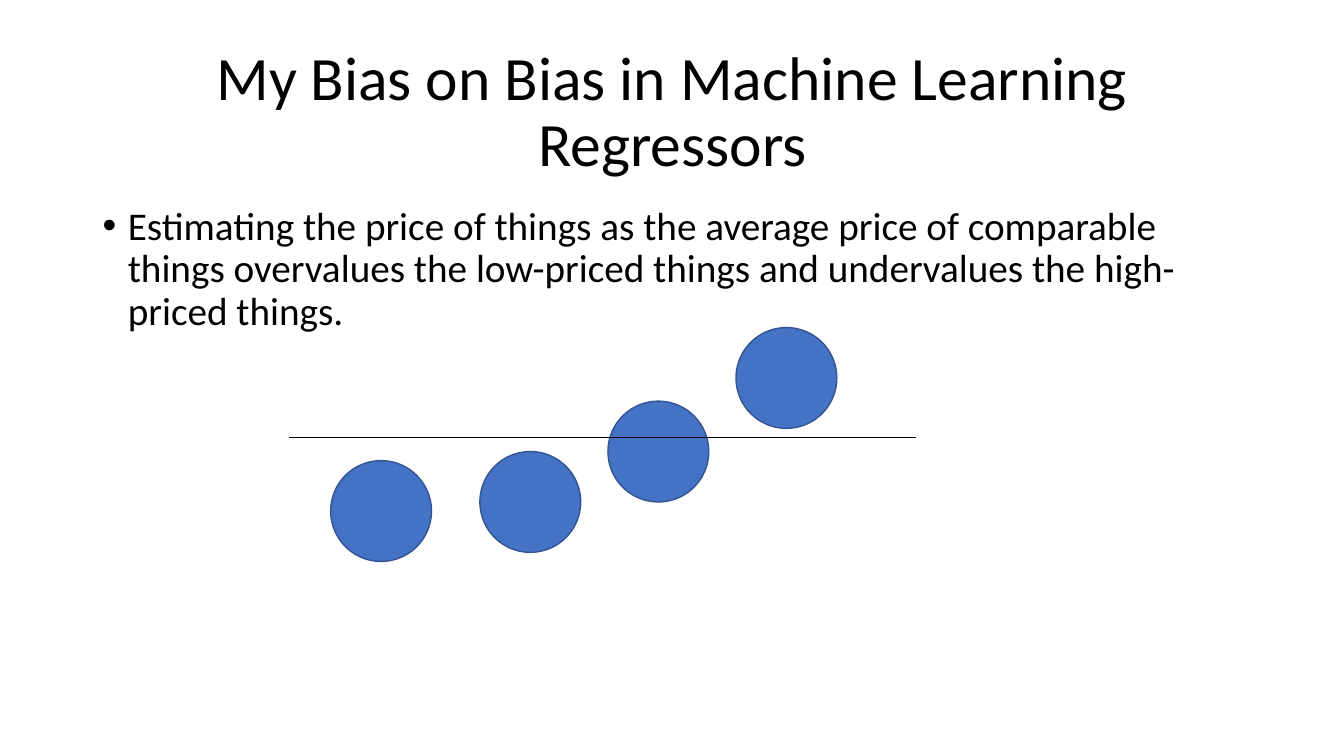
from lxml import etree
from pptx import Presentation
from pptx.dml.color import RGBColor
from pptx.enum.shapes import MSO_CONNECTOR, MSO_SHAPE
from pptx.enum.text import MSO_ANCHOR as Anchor, PP_ALIGN as Align
from pptx.oxml.ns import qn
from pptx.util import Inches, Pt

TITLE = "My Bias on Bias in Machine Learning Regressors"
STATEMENT = (
    "Estimating the price of things as the average price of comparable things "
    "overvalues the low-priced things and undervalues the high-priced things."
)
PRICE_POINTS = [(3.28, 4.57), (4.76, 4.48), (6.03, 3.98), (7.3, 3.25)]
DIAMETER = 1
AVERAGE_LINE = {"left": 2.87, "right": 9.09, "y": 4.34}
TEXT_LEFT, TEXT_WIDTH = 0.92, 11.5
FONT = "Calibri"
COLORS = {"text": "000000", "point": "4472C4", "outline": "325491", "average": "000000"}


def color(name):
    return RGBColor.from_string(COLORS[name])


def add_text(slide, text, top, height, size, anchor):
    box = slide.shapes.add_textbox(
        Inches(TEXT_LEFT), Inches(top), Inches(TEXT_WIDTH), Inches(height))
    frame = box.text_frame
    frame.word_wrap = True
    frame.vertical_anchor = anchor
    frame.text = text
    paragraph = frame.paragraphs[0]
    paragraph.line_spacing = 0.9
    font = paragraph.runs[0].font
    font.name, font.size = FONT, Pt(size)
    font.color.rgb = color("text")
    return paragraph


def add_bullet(paragraph, indent):
    properties = paragraph._p.get_or_add_pPr()
    properties.set("marL", str(Inches(indent)))
    properties.set("indent", str(-Inches(indent)))
    etree.SubElement(properties, qn("a:buFont"), typeface="Arial")
    etree.SubElement(properties, qn("a:buChar"), char="•")


def add_price_point(slide, left, top):
    circle = slide.shapes.add_shape(
        MSO_SHAPE.OVAL, Inches(left), Inches(top), Inches(DIAMETER), Inches(DIAMETER))
    circle.shadow.inherit = False
    circle.fill.solid()
    circle.fill.fore_color.rgb = color("point")
    circle.line.color.rgb = color("outline")
    circle.line.width = Pt(1)


def add_average_line(slide):
    y = Inches(AVERAGE_LINE["y"])
    line = slide.shapes.add_connector(
        MSO_CONNECTOR.STRAIGHT,
        Inches(AVERAGE_LINE["left"]), y, Inches(AVERAGE_LINE["right"]), y)
    line.line.color.rgb = color("average")
    line.line.width = Pt(1)
    etree.SubElement(line._element.spPr, qn("a:effectLst"))


def main():
    presentation = Presentation()
    presentation.slide_width, presentation.slide_height = Inches(13.33), Inches(7.5)
    slide = presentation.slides.add_slide(presentation.slide_layouts[6])

    title = add_text(slide, TITLE, 0.4, 1.45, 44, Anchor.MIDDLE)
    title.alignment = Align.CENTER
    statement = add_text(slide, STATEMENT, 2, 4.76, 28, Anchor.TOP)
    statement.space_before = Pt(10)
    add_bullet(statement, 0.25)

    for left, top in PRICE_POINTS:
        add_price_point(slide, left, top)
    add_average_line(slide)
    presentation.save("out.pptx")


if __name__ == "__main__":
    main()
